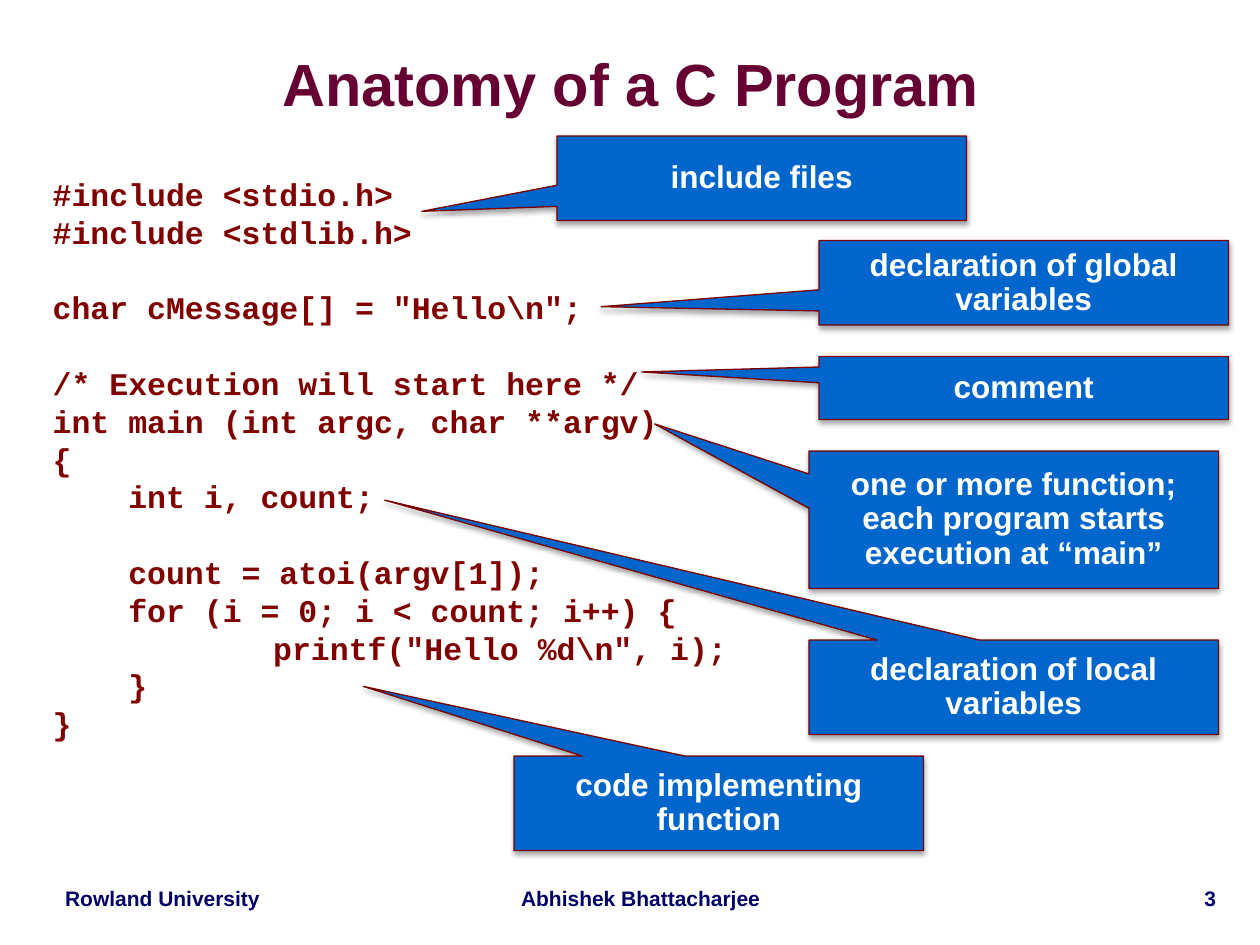
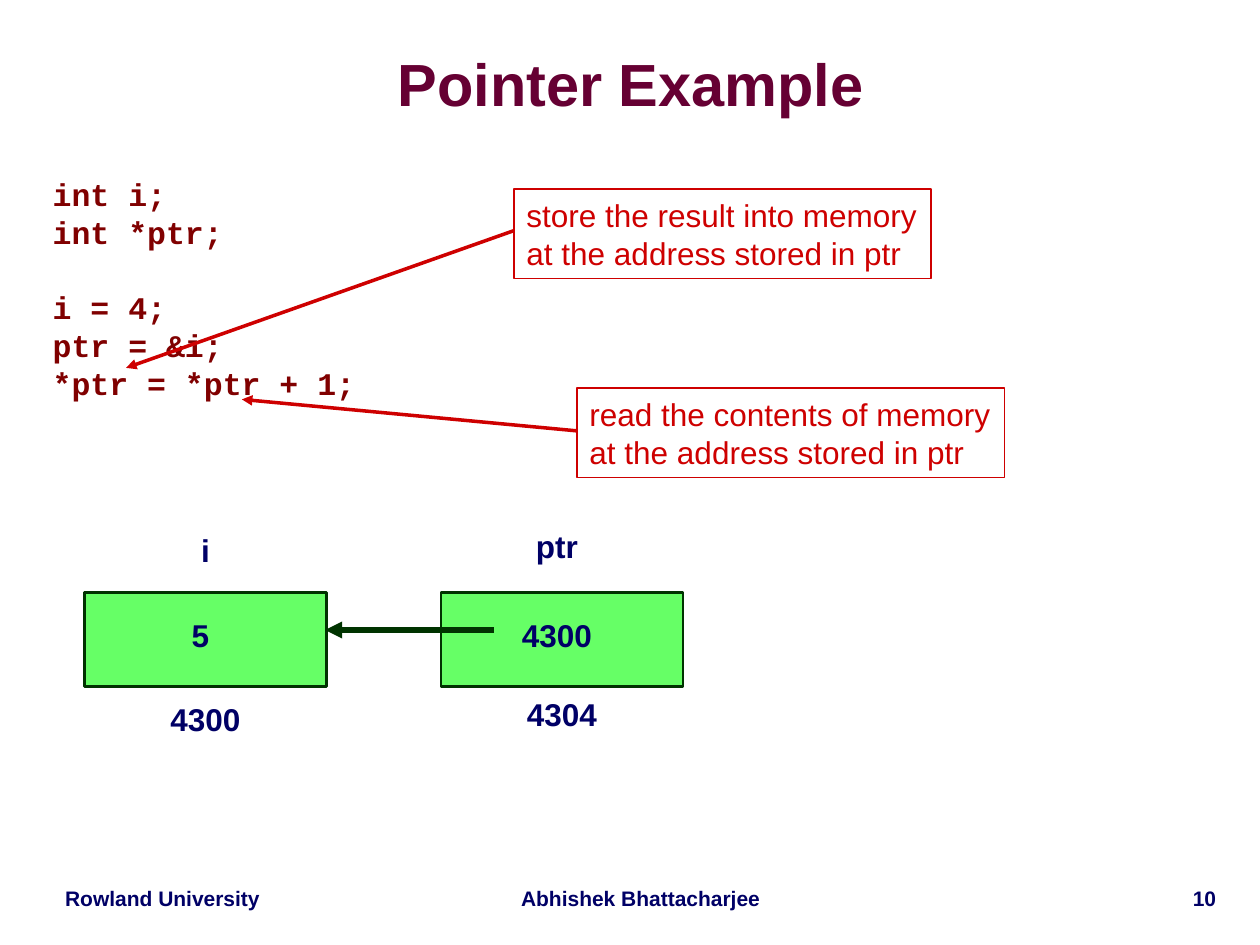
from dataclasses import dataclass

from lxml import etree
from pptx import Presentation
from pptx.dml.color import RGBColor
from pptx.enum.shapes import MSO_CONNECTOR, MSO_SHAPE
from pptx.enum.text import MSO_ANCHOR, MSO_AUTO_SIZE, PP_ALIGN
from pptx.oxml import parse_xml
from pptx.oxml.ns import nsdecls, qn
from pptx.util import Inches, Pt


@dataclass(frozen=True)
class Theme:
    sans: str = "Arial"
    mono: str = "Courier New"
    title: str = "660033"
    navy: str = "000066"
    code: str = "800000"
    callout: str = "0066CC"
    callout_edge: str = "7D0000"
    callout_text: str = "FFFFFF"
    note: str = "CE0000"
    cell: str = "66FF66"
    cell_edge: str = "003300"
    title_size: float = 34
    text_size: float = 18
    footer_size: float = 12
    tight: float = 0.9
    title_spacing: float = 0.87
    line_pitch: float = 21.6


@dataclass(frozen=True)
class Box:
    left: float
    top: float
    width: float
    height: float

    def emu(self):
        return [Inches(v) for v in (self.left, self.top, self.width, self.height)]


THEME = Theme()
TITLE_BOX = Box(0.31, 0.27, 9.39, 0.85)
CODE_BOX = Box(0.32, 1.34, 9.43, 5.5)
FOOTER_BOX = Box(0.33, 7, 9.42, 0.28)
CODE_INDENTS = (0, 0.6, 1.75)


def rgb(value):
    return RGBColor.from_string(value)


def style(paragraph, color, size=THEME.text_size, font=THEME.sans, bold=True,
          align=PP_ALIGN.CENTER, spacing=THEME.tight):
    paragraph.alignment = align
    paragraph.line_spacing = spacing
    paragraph.font.name = font
    paragraph.font.size = Pt(size)
    paragraph.font.bold = bold
    paragraph.font.color.rgb = rgb(color)


def write(frame, lines, color, **options):
    for index, line in enumerate(lines):
        paragraph = frame.paragraphs[0] if index == 0 else frame.add_paragraph()
        paragraph.text = line
        style(paragraph, color, **options)


def add_label(slide, box, text, color=THEME.navy, side_inset=0.05, **options):
    frame = slide.shapes.add_textbox(*box.emu()).text_frame
    frame.word_wrap = True
    frame.margin_left = frame.margin_right = Inches(side_inset)
    write(frame, [text], color, **options)


def add_panel(slide, preset, box, fill, edge, edge_width):
    panel = slide.shapes.add_shape(preset, *box.emu())
    panel.shadow.inherit = False
    if fill:
        panel.fill.solid()
        panel.fill.fore_color.rgb = rgb(fill)
    else:
        panel.fill.background()
    panel.line.color.rgb = rgb(edge)
    panel.line.width = Pt(edge_width)
    return panel


def add_arrow(slide, start, end, color, width):
    arrow = slide.shapes.add_connector(
        MSO_CONNECTOR.STRAIGHT, *[Inches(v) for v in (*start, *end)])
    arrow.line.color.rgb = rgb(color)
    arrow.line.width = Pt(width)
    etree.SubElement(arrow.line._get_or_add_ln(), qn("a:tailEnd"), type="triangle")
    etree.SubElement(arrow._element.spPr, qn("a:effectLst"))


def add_footer(slide, box, number):
    parts = (
        (0, 1.92, "Rowland University", PP_ALIGN.CENTER),
        (3.67, 2.17, "Abhishek Bhattacharjee", PP_ALIGN.CENTER),
        (7.84, 1.58, str(number), PP_ALIGN.RIGHT),
    )
    for offset, width, text, align in parts:
        add_label(slide, Box(box.left + offset, box.top, width, box.height), text,
                  side_inset=0.1, size=THEME.footer_size, align=align)


def add_titled_slide(deck, title, number):
    slide = deck.slides.add_slide(deck.slide_layouts[5])
    heading = slide.shapes.title
    heading.left, heading.top, heading.width, heading.height = TITLE_BOX.emu()
    frame = heading.text_frame
    frame.auto_size = MSO_AUTO_SIZE.NONE
    frame.vertical_anchor = MSO_ANCHOR.MIDDLE
    frame.margin_left = frame.margin_right = frame.margin_top = frame.margin_bottom = 0
    write(frame, [title], THEME.title, size=THEME.title_size,
          spacing=THEME.title_spacing)
    add_footer(slide, FOOTER_BOX, number)
    return slide


def add_code(slide, box, blocks):
    frame = slide.shapes.add_textbox(*box.emu()).text_frame
    frame.word_wrap = True
    lines = [line for block in blocks for line in block]
    write(frame, [text for _, text in lines], THEME.code, font=THEME.mono,
          align=PP_ALIGN.LEFT, spacing=Pt(THEME.line_pitch))
    for paragraph, (level, _) in zip(frame.paragraphs, lines):
        paragraph._p.get_or_add_pPr().set("marL", str(Inches(CODE_INDENTS[level])))
    start = 0
    for block in blocks[:-1]:
        start += len(block)
        frame.paragraphs[start].space_before = Pt(THEME.line_pitch)


def add_callout(slide, box, pointer, lines):
    callout = add_panel(slide, MSO_SHAPE.RECTANGULAR_CALLOUT, box,
                        THEME.callout, THEME.callout_edge, 0.75)
    callout.adjustments[0], callout.adjustments[1] = pointer
    effects = callout._element.spPr.find(qn("a:effectLst"))
    effects.append(parse_xml(
        f'<a:outerShdw {nsdecls("a")} blurRad="{Pt(3.1)}" dist="{Pt(1.8)}" '
        'dir="5400000" rotWithShape="0"><a:srgbClr val="000000">'
        '<a:alpha val="35000"/></a:srgbClr></a:outerShdw>'))
    callout.text_frame.vertical_anchor = MSO_ANCHOR.MIDDLE
    write(callout.text_frame, lines, THEME.callout_text)


def add_note(slide, box, lines, arrow_start, arrow_end):
    note = add_panel(slide, MSO_SHAPE.RECTANGLE, box, None, THEME.note, 0.75)
    note.text_frame.word_wrap = False
    write(note.text_frame, lines, THEME.note, bold=False, align=PP_ALIGN.LEFT,
          spacing=Pt(THEME.line_pitch))
    add_arrow(slide, arrow_start, arrow_end, THEME.note, 2)


def add_memory_cell(slide, box, name, value, address, name_shift, name_rise, address_drop):
    add_panel(slide, MSO_SHAPE.RECTANGLE, box, THEME.cell, THEME.cell_edge, 1.5)
    center = box.left + box.width / 2
    width = 0.92
    for text, shift, drop in ((name, name_shift, -name_rise),
                              (value, -0.04, 0.17),
                              (address, 0, address_drop)):
        add_label(slide, Box(center + shift - width / 2, box.top + drop, width, 0.37), text)


def build_anatomy(deck):
    slide = add_titled_slide(deck, "Anatomy of a C Program", 3)
    add_code(slide, CODE_BOX, (
        ((0, "#include <stdio.h>"), (0, "#include <stdlib.h>")),
        ((0, 'char cMessage[] = "Hello\\n";'),),
        ((0, "/* Execution will start here */"),
         (0, "int main (int argc, char **argv)"),
         (0, "{"),
         (1, "int i, count;")),
        ((1, "count = atoi(argv[1]);"),
         (1, "for (i = 0; i < count; i++) {"),
         (2, 'printf("Hello %d\\n", i);'),
         (1, "}"),
         (0, "}")),
    ))
    callouts = (
        (4.42, 1.08, 0.67, (-0.83, 0.392), ["include files"]),
        (6.5, 1.91, 0.67, (-1.032, 0.283), ["declaration of global variables"]),
        (6.42, 3.58, 1.09, (-0.877, -0.698),
         ["one or more function;", "each program starts execution at “main”"]),
        (6.42, 5.08, 0.75, (-1.536, -1.981), ["declaration of local variables"]),
        (4.08, 6, 0.75, (-0.868, -1.237), ["code implementing function"]),
        (6.5, 2.83, 0.5, (-0.933, -0.255), ["comment"]),
    )
    for left, top, height, pointer, lines in callouts:
        add_callout(slide, Box(left, top, 3.25, height), pointer, lines)


def build_pointer_example(deck):
    slide = add_titled_slide(deck, "Pointer Example", 10)
    add_code(slide, CODE_BOX, (
        ((0, "int i;"), (0, "int *ptr;")),
        ((0, "i = 4;"), (0, "ptr = &i;"), (0, "*ptr = *ptr + 1;")),
    ))
    target = "at the address stored in ptr"
    add_note(slide, Box(4.58, 3.08, 3.39, 0.71),
             ["read the contents of memory", target], (4.58, 3.42), (1.92, 3.17))
    add_note(slide, Box(4.08, 1.5, 3.31, 0.71),
             ["store the result into memory", target], (4.08, 1.83), (1, 2.92))
    add_memory_cell(slide, Box(0.67, 4.7, 1.92, 0.75), "i", "5", "4300", 0, 0.5, 0.84)
    add_memory_cell(slide, Box(3.5, 4.7, 1.92, 0.75), "ptr", "4300", "4304",
                    -0.04, 0.53, 0.8)
    add_arrow(slide, (3.92, 5), (2.58, 5), THEME.cell_edge, 3.25)


deck = Presentation()
deck.slide_width, deck.slide_height = Inches(10), Inches(7.5)
build_anatomy(deck)
build_pointer_example(deck)
deck.save("out.pptx")
